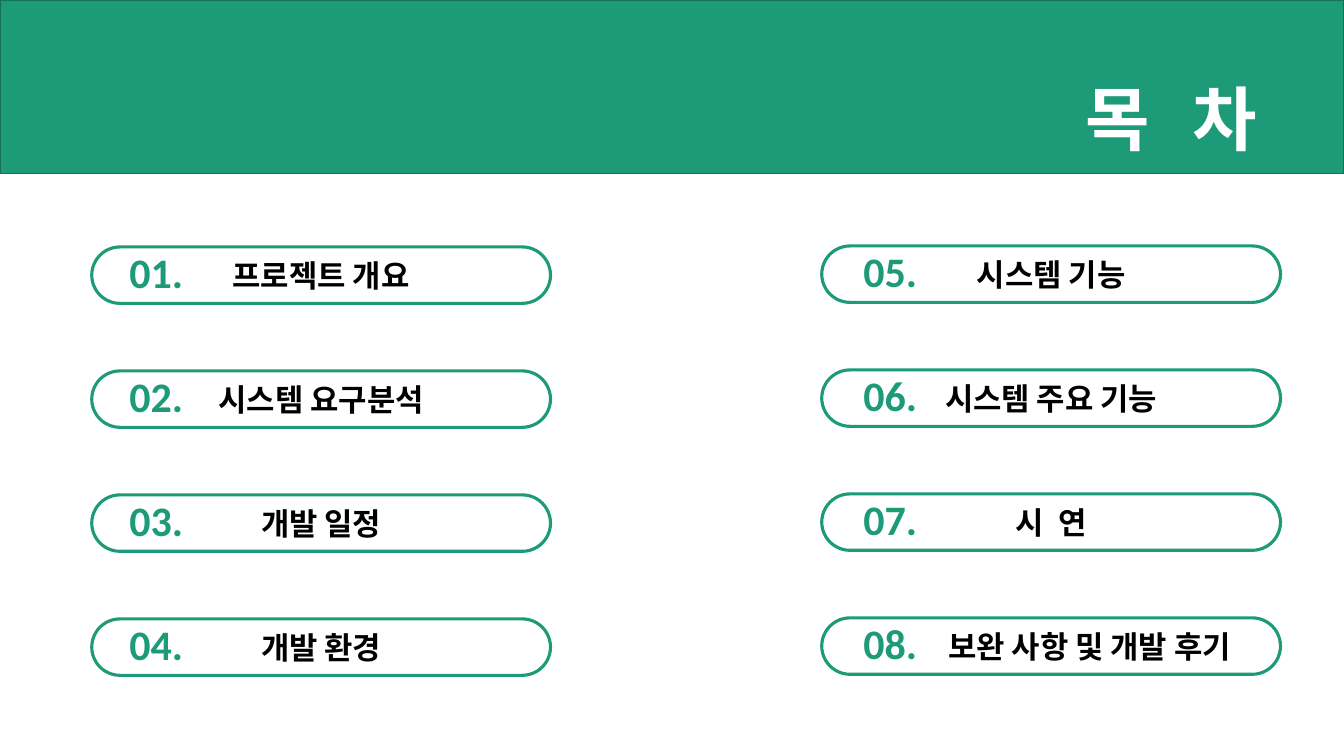
from lxml.etree import SubElement
from pptx import Presentation
from pptx.dml.color import RGBColor
from pptx.enum.shapes import MSO_SHAPE as SHAPE
from pptx.enum.text import MSO_ANCHOR as ANCHOR, MSO_AUTO_SIZE as AUTO, PP_ALIGN as ALIGN
from pptx.oxml.ns import qn
from pptx.util import Inches, Pt

WIDTH, HEIGHT = 13.33, 7.5
GREEN, DARK_GREEN, WHITE, BLACK = "1D9A78", "157259", "FFFFFF", "000000"
KOREAN = "Noto Sans CJK KR"

PILL_WIDTH, PILL_HEIGHT, ROW_PITCH = 4.55, 0.56, 1.23
NUMBER_WIDTH, NUMBER_HEIGHT = 0.74, 0.61
INSET = 0.1

# Each topic is (runs, extra left inset); each run is (text, letter spacing in points).
LEFT_TOPICS = [
    ([("프로젝트 개요", 0)], 0),
    ([("시스템 요구분석", 0)], 0),
    ([("개발 일정", 0)], 0),
    ([("개발 환경", 0)], 0),
]
RIGHT_TOPICS = [
    ([("시스템 기능", 0)], 0),
    ([("시스템 주요 기능", 0)], 0),
    ([("시", 0), (" ", 5), ("연", 0)], 0),
    ([("보완 사항 및 개발 후기", 0)], 0.76),
]


def color(hex_code):
    return RGBColor.from_string(hex_code)


def inches(*lengths):
    return [Inches(length) for length in lengths]


def add_run(paragraph, text, size, font, hex_code, spacing=0):
    run = paragraph.add_run()
    run.text = text
    run.font.size = Pt(size)
    run.font.bold = True
    run.font.name = font
    run.font.color.rgb = color(hex_code)
    properties = run.font._element
    SubElement(properties, qn("a:ea")).set("typeface", KOREAN)
    if spacing:
        properties.set("spc", str(spacing * 100))


def add_outlined(slide, preset, box, line, line_width, fill=None):
    shape = slide.shapes.add_shape(preset, *inches(*box))
    shape.shadow.inherit = False
    if fill:
        shape.fill.solid()
        shape.fill.fore_color.rgb = color(fill)
    else:
        shape.fill.background()
    shape.line.color.rgb = color(line)
    shape.line.width = Pt(line_width)
    return shape


def add_header(slide, left, top, width, height):
    add_outlined(slide, SHAPE.RECTANGLE, (left, top, width, height), DARK_GREEN, 1, GREEN)
    title = slide.shapes.title
    slide.shapes._spTree.append(title._element)  # bring the title in front of the band
    title.left, title.top, title.width, title.height = inches(
        left + 0.8 * width, top + 0.7, 2.12, 0.94)
    frame = title.text_frame
    frame.auto_size = AUTO.NONE
    frame.vertical_anchor = ANCHOR.TOP
    heading = frame.paragraphs[0]
    heading.alignment = ALIGN.LEFT
    for text, spacing in [("목", -3), (" ", 19), ("차", -3)]:
        add_run(heading, text, 50, "Arial", WHITE, spacing)


def add_topic(slide, left, top, number, number_offset, runs, extra_inset):
    """Place one pill with its topic and its number."""
    pill = add_outlined(slide, SHAPE.ROUNDED_RECTANGLE,
                        (left, top, PILL_WIDTH, PILL_HEIGHT), GREEN, 2.25)
    pill.adjustments[0] = 0.5
    frame = pill.text_frame
    frame.word_wrap = False
    frame.vertical_anchor = ANCHOR.MIDDLE
    frame.margin_left = Inches(INSET + extra_inset)
    topic = frame.paragraphs[0]
    topic.alignment = ALIGN.CENTER
    for text, spacing in runs:
        add_run(topic, text, 22, KOREAN, BLACK, spacing)

    label = slide.shapes.add_textbox(
        *inches(left + number_offset, top - 0.05, NUMBER_WIDTH, NUMBER_HEIGHT)).text_frame
    label.word_wrap = False
    label.auto_size = AUTO.SHAPE_TO_FIT_TEXT
    label.paragraphs[0].alignment = ALIGN.CENTER
    add_run(label.paragraphs[0], f"{number:02}.", 30, "Calibri", GREEN)


def add_column(slide, left, top, number_offset, topics, first_number):
    for row, (runs, extra_inset) in enumerate(topics):
        add_topic(slide, left, top + row * ROW_PITCH, first_number + row,
                  number_offset, runs, extra_inset)


def main():
    deck = Presentation()
    deck.slide_width, deck.slide_height = inches(WIDTH, HEIGHT)
    slide = deck.slides.add_slide(deck.slide_layouts[5])
    add_header(slide, 0, 0, WIDTH, 1.72)
    add_column(slide, 0.91, 2.45, 0.27, LEFT_TOPICS, 1)
    add_column(slide, 8.15, 2.44, 0.31, RIGHT_TOPICS, 1 + len(LEFT_TOPICS))
    deck.save("out.pptx")


if __name__ == "__main__":
    main()
